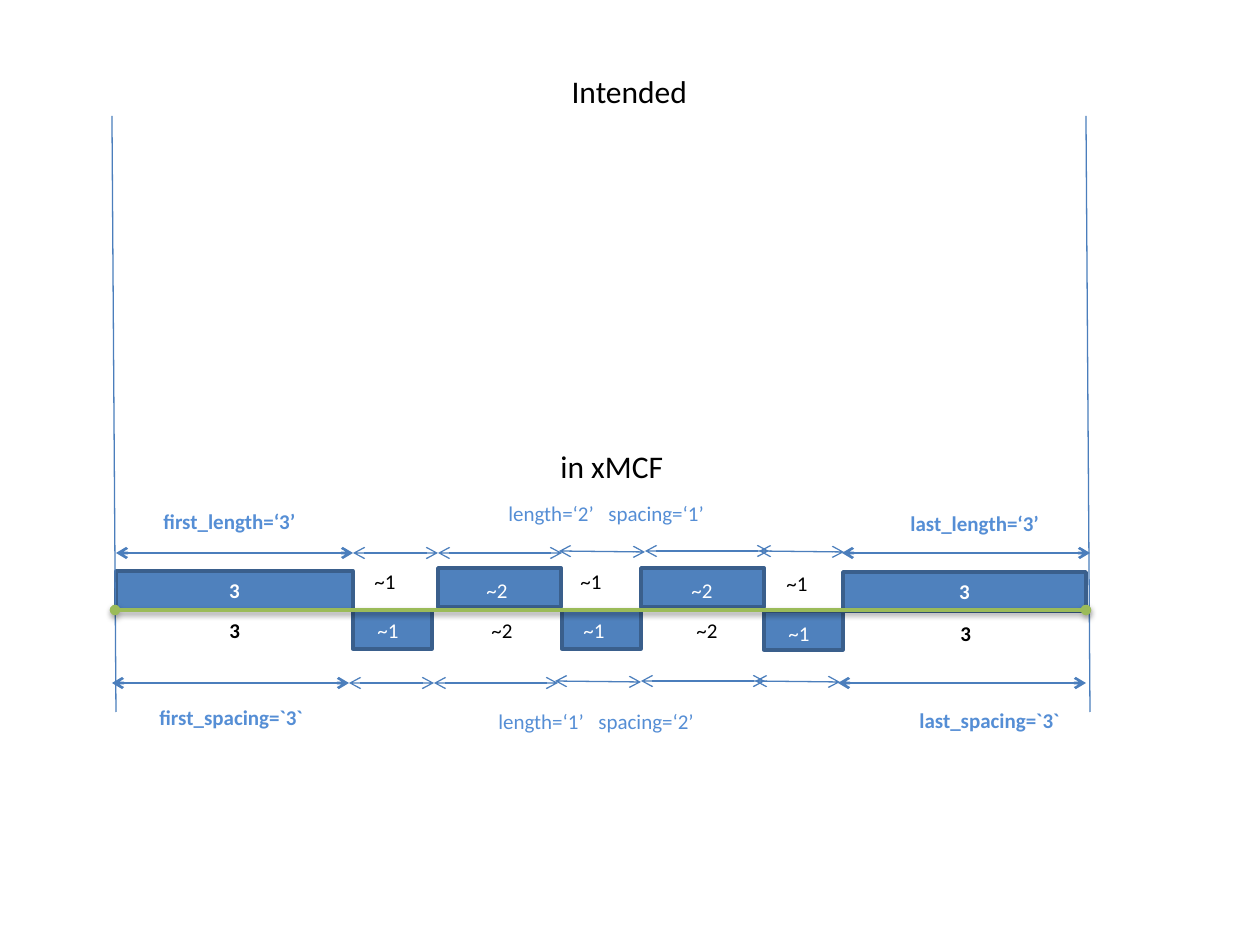
"""Build a slide on first and last spacing of a dashed seam in xMCF."""
import pptx
import pptx.util
import pptx.oxml
import pptx.oxml.ns
import pptx.dml.color
import pptx.enum.shapes
import pptx.enum.text
import lxml.etree

PX = 914400 / 126
INK = {"black": "000000", "white": "FFFFFF", "blue": "4F81BD", "edge": "3A5F8C",
       "line": "4B7EBC", "label": "558ED5", "green": "9BBB59"}
NS = pptx.oxml.ns.nsdecls("a")
MID = pptx.enum.text.MSO_ANCHOR.MIDDLE
TOP = pptx.enum.text.MSO_ANCHOR.TOP
LEFT = pptx.enum.text.PP_ALIGN.LEFT
MID_ROW = pptx.enum.text.PP_ALIGN.CENTER


def write(shape, text, hue, size=12, bold=False, align=LEFT, anchor=TOP):
    frame = shape.text_frame
    frame.vertical_anchor = anchor
    para = frame.paragraphs[0]
    para.alignment = align
    run = para.add_run()
    run.text = text
    run.font.name = "Calibri"
    run.font.size = pptx.util.Pt(size)
    run.font.bold = bold
    run.font.color.rgb = pptx.dml.color.RGBColor.from_string(INK[hue])
    return para


def link(ends, hue, width, tip=None, effect=""):
    line = slide.shapes.add_connector(
        pptx.enum.shapes.MSO_CONNECTOR.STRAIGHT, *[int(v * PX) for v in ends])
    line.line.color.rgb = pptx.dml.color.RGBColor.from_string(INK[hue])
    line.line.width = pptx.util.Pt(width)
    if tip:
        for end in ("headEnd", "tailEnd"):
            line.line._get_or_add_ln().append(
                pptx.oxml.parse_xml(f'<a:{end} {NS} type="{tip}"/>'))
    line._element.spPr.append(
        pptx.oxml.parse_xml(f"<a:effectLst {NS}>{effect}</a:effectLst>"))


deck = pptx.Presentation()
deck.slide_width = int(1260 * PX)
deck.slide_height = int(945 * PX)
slide = deck.slides.add_slide(deck.slide_layouts[5])

title = slide.shapes.title
title.left, title.top, title.width, title.height = [
    int(v * PX) for v in (559, 66, 142, 50)]
title.text_frame.word_wrap = False
write(title, "Intended", "black", 18)

bars = [(116, 571, 237, "3"), (438, 568, 123, ""), (641, 568, 123, ""),
        (843, 572, 243, "3"), (353, 610, 79, ""), (562, 610, 79, ""),
        (764, 611, 79, "")]
for x, y, wide, text in bars:
    bar = slide.shapes.add_shape(
        pptx.enum.shapes.MSO_SHAPE.RECTANGLE,
        *[int(v * PX) for v in (x, y, wide, 39)])
    bar.shadow.inherit = False
    bar.fill.solid()
    bar.fill.fore_color.rgb = pptx.dml.color.RGBColor.from_string(INK["blue"])
    bar.line.color.rgb = pptx.dml.color.RGBColor.from_string(INK["edge"])
    bar.line.width = pptx.util.Pt(2)
    if text:
        write(bar, text, "white", bold=True, align=MID_ROW, anchor=MID)

for x in (112, 1086):
    link((x, 116, x + 4, 712), "line", 0.75)

spans = [(116, 553, 353, 553, 1.5), (353, 553, 438, 553, 0.75),
         (438, 553, 562, 553, 0.75), (559, 551, 645, 552, 0.75),
         (645, 551, 769, 551, 0.75), (759, 551, 844, 552, 0.75),
         (842, 553, 1090, 553, 1.5)]
for dx, dy in ((0, 0), (-4, 130)):
    for x1, y1, x2, y2, width in spans:
        link((x1 + dx, y1 + dy, x2 + dx, y2 + dy), "line", width, "arrow")

link((115, 610, 1086, 610), "green", 2, "oval",
     '<a:outerShdw blurRad="40000" dist="20000" dir="5400000" rotWithShape="0">'
     '<a:srgbClr val="000000"><a:alpha val="38000"/></a:srgbClr></a:outerShdw>')

notes = [("in xMCF", 548, 441, 130, "black", 18, False),
         ("first_length=‘3’", 151, 502, 159, "label", 12, True),
         ("last_length=‘3’", 898, 504, 159, "label", 12, True),
         ("first_spacing=`3`", 147, 698, 171, "label", 12, True),
         ("last_spacing=`3`", 907, 701, 169, "label", 12, True),
         ("3", 217, 611, 37, "black", 12, True),
         ("3", 948, 614, 37, "black", 12, True)]
marks = [("~1", "white", [(365, 611), (571, 611), (776, 614)]),
         ("~2", "white", [(474, 571), (679, 571)]),
         ("~2", "black", [(479, 611), (684, 611)]),
         ("~1", "black", [(362, 562), (568, 562), (774, 564)])]
for text, hue, spots in marks:
    notes += [(text, x, y, 47, hue, 12, False) for x, y in spots]
for text, x, y, wide, hue, size, bold in notes:
    box = slide.shapes.add_textbox(
        *[int(v * PX) for v in (x, y, wide, 50 if size == 18 else 38)])
    box.text_frame.word_wrap = False
    write(box, text, hue, size, bold)

for text, x, y in (("length=‘2’\tspacing=‘1’", 496, 494),
                   ("length=‘1’\tspacing=‘2’", 486, 702)):
    box = slide.shapes.add_textbox(*[int(v * PX) for v in (x, y, 230, 38)])
    box.text_frame.word_wrap = True
    props = box.text_frame.paragraphs[0]._p.get_or_add_pPr()
    props.append(pptx.oxml.parse_xml(
        f'<a:tabLst {NS}><a:tab pos="{int(100 * PX)}" algn="l"/></a:tabLst>'))
    write(box, text, "label")

deck.save("out.pptx")
